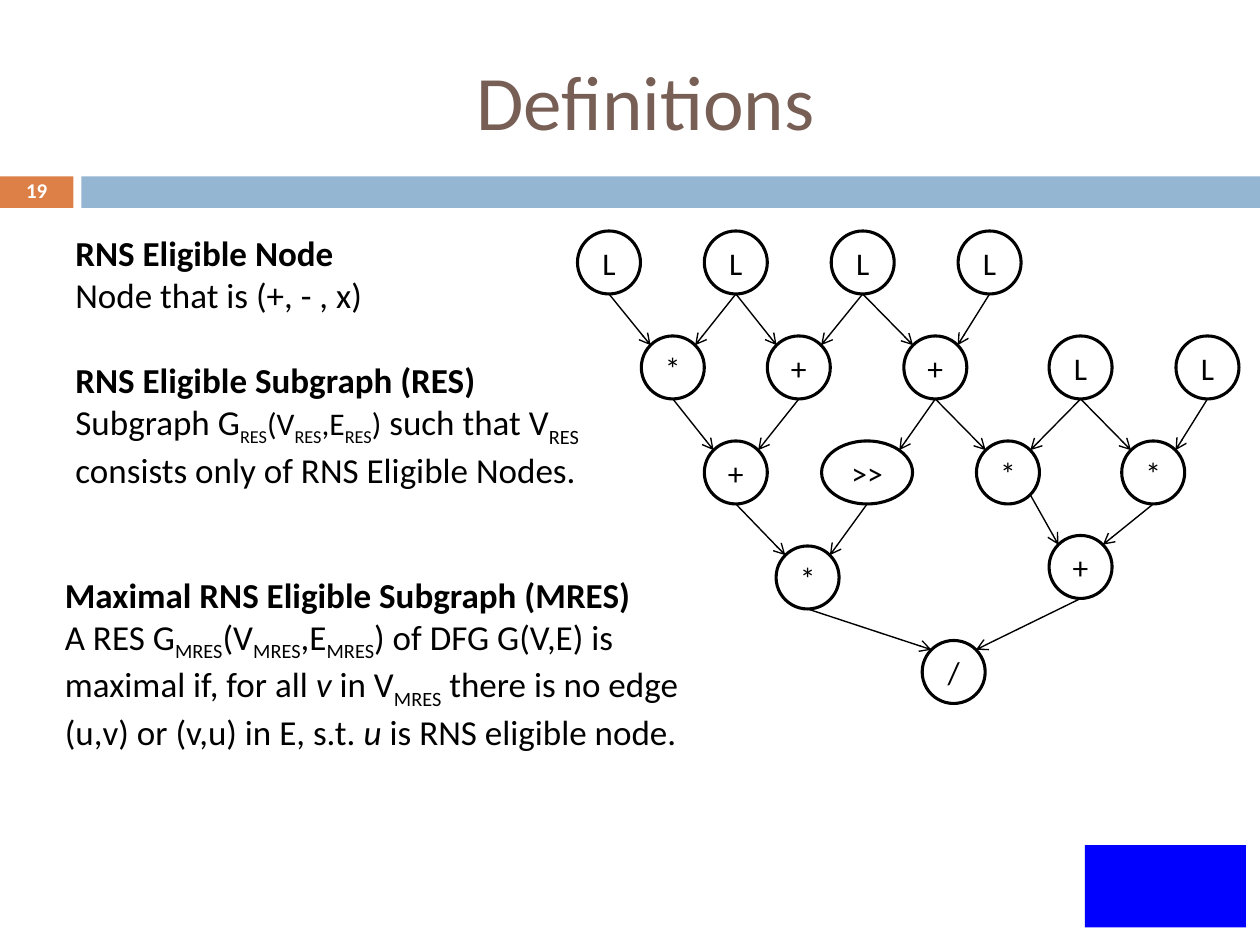
from math import sqrt

from lxml import etree
from pptx import Presentation
from pptx.dml.color import RGBColor
from pptx.enum.shapes import MSO_CONNECTOR, MSO_SHAPE
from pptx.enum.text import MSO_ANCHOR, PP_ALIGN
from pptx.oxml.ns import qn
from pptx.util import Pt

RECTANGLE, OVAL = MSO_SHAPE.RECTANGLE, MSO_SHAPE.OVAL
STRAIGHT = MSO_CONNECTOR.STRAIGHT
LEFT, CENTER, MIDDLE = PP_ALIGN.LEFT, PP_ALIGN.CENTER, MSO_ANCHOR.MIDDLE

COLORS = {"title": "775F55", "number": "DD8047", "band": "94B6D2",
          "ink": "000000", "white": "FFFFFF", "badge": "0000FF"}
FONT = "Calibri"
TITLE = "Definitions"
PAGE_NUMBER = "19"

# (left, top, width, height), heading, spans of (text, style, size)
DEFINITIONS = [
    ((36, 129, 288, 55.4), "RNS Eligible Node",
     [("Node that is (+, - , x)", "", 20)]),
    ((36, 201.6, 342, 133), "RNS Eligible Subgraph (RES)",
     [("Subgraph G", "", 20), ("RES", "sub", 18), ("(V", "", 18),
      ("RES", "sub", 18), (",E", "", 18), ("RES", "sub", 18), (")", "", 18),
      (" such that V", "", 20), ("RES", "sub", 20),
      (" consists only of RNS Eligible Nodes.", "", 20)]),
    ((30, 324, 396, 158), "Maximal RNS Eligible Subgraph (MRES)",
     [("A RES G", "", 20), ("MRES", "sub", 20), ("(V", "", 20),
      ("MRES", "sub", 20), (",E", "", 20), ("MRES", "sub", 20),
      (") of DFG G(V,E) is maximal if, for all ", "", 20),
      ("v", "italic", 20), (" in V", "", 20), ("MRES", "sub", 20),
      (" there is no edge (u,v) or (v,u) in E, s.t. ", "", 20),
      ("u ", "italic", 20), ("is RNS eligible node.", "", 20)]),
]

# name: (label, centre x, centre y)
NODES = {
    "load1": ("L", 348, 150), "load2": ("L", 420.5, 150),
    "load3": ("L", 493, 150), "load4": ("L", 565.5, 150),
    "times1": ("*", 384.5, 210), "plus1": ("+", 456.5, 210),
    "plus2": ("+", 534.5, 210), "load5": ("L", 617.5, 210),
    "load6": ("L", 690, 210),
    "plus3": ("+", 420.5, 270), "shift": (">>", 495.5, 270),
    "times2": ("*", 576, 270), "times3": ("*", 659, 270),
    "times4": ("*", 461.5, 330), "plus4": ("+", 617.5, 324),
    "divide": ("/", 545, 384),
}
NODE_SIZE = 36
WIDE_NODES = {"shift": 52}

EDGES = [
    ("load1", "times1"), ("load2", "times1"), ("load2", "plus1"),
    ("load3", "plus1"), ("load3", "plus2"), ("load4", "plus2"),
    ("times1", "plus3"), ("plus1", "plus3"), ("plus2", "shift"),
    ("plus2", "times2"), ("load5", "times2"), ("load5", "times3"),
    ("load6", "times3"), ("plus3", "times4"), ("shift", "times4"),
    ("times2", "plus4"), ("times3", "plus4"),
    ("times4", "divide"), ("plus4", "divide"),
]
DIAGONAL_STARTS = {("times2", "plus4")}


def color(name):
    return RGBColor.from_string(COLORS[name])


def points(*lengths):
    return [Pt(length) for length in lengths]


def add_span(para, text, size, ink="ink", style=""):
    span = para.add_run()
    span.text = text
    font = span.font
    font.name, font.size, font.color.rgb = FONT, Pt(size), color(ink)
    font.bold, font.italic = style == "bold", style == "italic"
    if style == "sub":
        font._element.set("baseline", "-25000")


def add_shape(page, kind, place, fill=None, line=None):
    shape = page.shapes.add_shape(kind, *points(*place))
    shape.shadow.inherit = False
    if fill:
        shape.fill.solid()
        shape.fill.fore_color.rgb = color(fill)
    else:
        shape.fill.background()
    if line:
        shape.line.color.rgb = color(line)
        shape.line.width = Pt(1.75)
    else:
        shape.line.fill.background()
    frame = shape.text_frame
    frame.vertical_anchor = MIDDLE
    frame.paragraphs[0].alignment = CENTER
    return shape


def add_header(page):
    title = page.shapes.title
    title.left, title.top, title.width, title.height = points(48, 18, 642, 78)
    title.text_frame.vertical_anchor = MIDDLE
    para = title.text_frame.paragraphs[0]
    para.alignment = CENTER
    add_span(para, TITLE, 44, "title")

    number = add_shape(page, RECTANGLE, (0, 100.8, 42, 18), "number")
    para = number.text_frame.paragraphs[0]
    para.line_spacing = 0.8
    add_span(para, PAGE_NUMBER, 12, "white", "bold")
    add_shape(page, RECTANGLE, (46.5, 100.8, 673.5, 18), "band")


def add_definition(page, place, heading, spans):
    frame = page.shapes.add_textbox(*points(*place)).text_frame
    frame.word_wrap = True
    add_span(frame.paragraphs[0], heading, 20, style="bold")
    body = frame.add_paragraph()
    for text, style, size in spans:
        add_span(body, text, size, style=style)
    for para in frame.paragraphs:
        para.alignment = LEFT


def node_width(name):
    return WIDE_NODES.get(name, NODE_SIZE)


def add_node(page, name):
    label, x, y = NODES[name]
    width = node_width(name)
    place = (x - width / 2, y - NODE_SIZE / 2, width, NODE_SIZE)
    node = add_shape(page, OVAL, place, line="ink")
    add_span(node.text_frame.paragraphs[0], label, 18)


def diagonal_point(name, side, vertical):
    """Point on the outline at 45 degrees; side and vertical are -1 or 1."""
    _, x, y = NODES[name]
    return (x + side * node_width(name) / 2 / sqrt(2),
            y + vertical * NODE_SIZE / 2 / sqrt(2))


def add_edge(page, source, target):
    """Arrow from the bottom of source to the nearer upper side of target."""
    _, x, y = NODES[source]
    side = 1 if x > NODES[target][1] else -1
    start = (x, y + NODE_SIZE / 2)
    if (source, target) in DIAGONAL_STARTS:
        start = diagonal_point(source, -side, 1)
    end = diagonal_point(target, side, -1)
    edge = page.shapes.add_connector(STRAIGHT, *points(*start, *end))
    edge.line.color.rgb = color("ink")
    edge.line.width = Pt(0.79)
    etree.SubElement(edge.line._get_or_add_ln(), qn("a:tailEnd"), type="arrow")
    etree.SubElement(edge._element.spPr, qn("a:effectLst"))


def main():
    deck = Presentation()
    deck.slide_width, deck.slide_height = points(720, 540)
    page = deck.slides.add_slide(deck.slide_layouts[5])
    add_header(page)
    for name in NODES:
        add_node(page, name)
    for source, target in EDGES:
        add_edge(page, source, target)
    for place, heading, spans in DEFINITIONS:
        add_definition(page, place, heading, spans)
    add_shape(page, RECTANGLE, (620, 483, 92, 47), "badge")
    deck.save("out.pptx")


if __name__ == "__main__":
    main()
